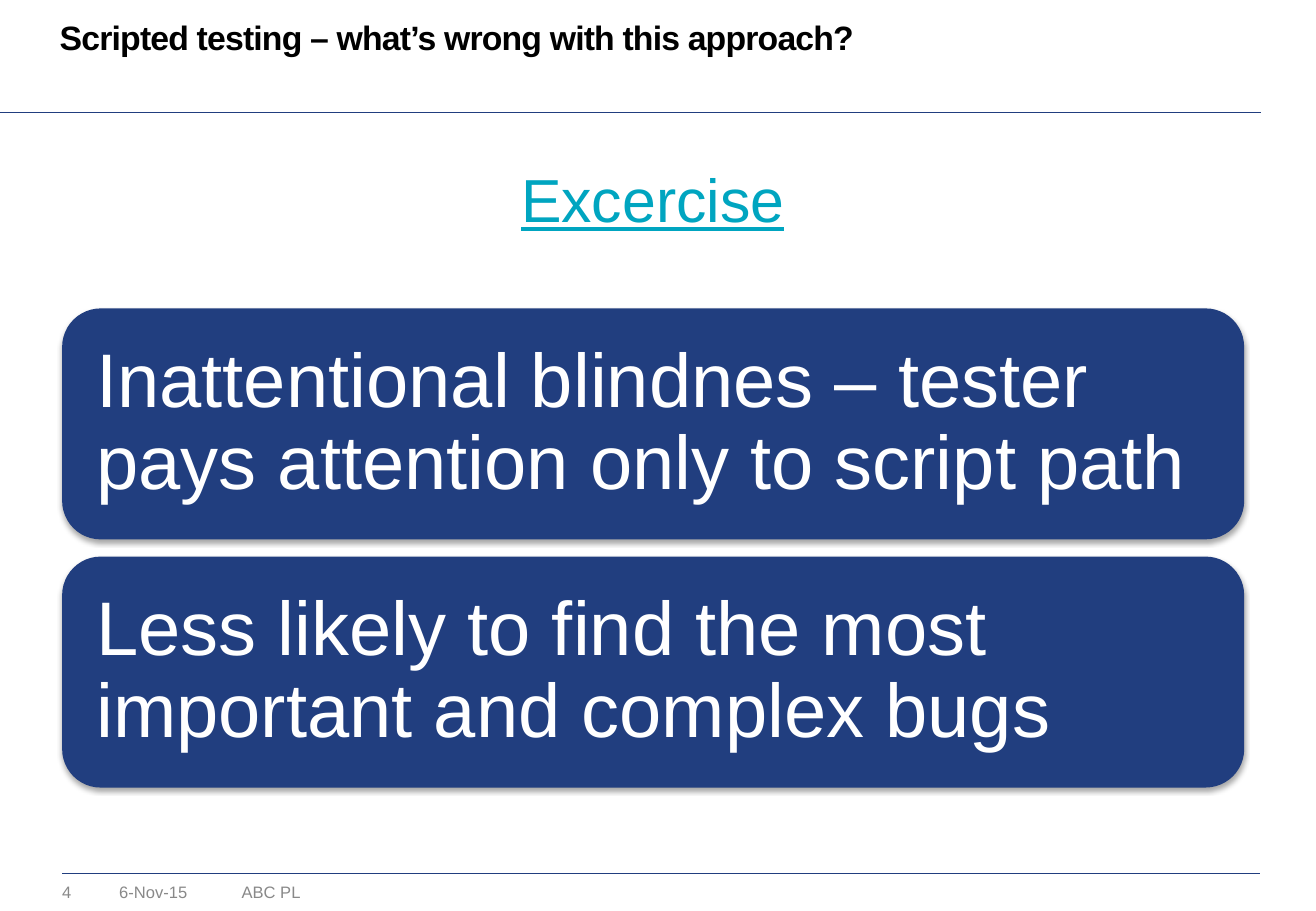
from dataclasses import dataclass

from lxml.etree import SubElement
from pptx import Presentation
from pptx.dml.color import RGBColor
from pptx.enum.shapes import MSO_CONNECTOR, MSO_SHAPE
from pptx.enum.text import MSO_ANCHOR, PP_ALIGN
from pptx.oxml import parse_xml
from pptx.oxml.ns import nsdecls, qn
from pptx.util import Cm, Pt


@dataclass(frozen=True)
class Theme:
    font: str = "Arial"
    navy: str = "213E7F"
    teal: str = "00A5C0"
    grey: str = "898989"
    black: str = "000000"
    white: str = "FFFFFF"
    title_size: float = 20
    heading_size: float = 36
    card_size: float = 45
    footer_size: float = 9.8
    rule_width: float = 0.25


SOFT_SHADOW = (
    f'<a:effectLst {nsdecls("a")}>'
    '<a:outerShdw blurRad="39370" dist="22860" dir="5400000" rotWithShape="0">'
    '<a:srgbClr val="000000"><a:alpha val="35000"/></a:srgbClr>'
    "</a:outerShdw></a:effectLst>"
)


class SlideBuilder:
    def __init__(self, slide, theme):
        self.s = slide
        self.theme = theme

    def rule(self, x1, x2, y):
        line = self.s.shapes.add_connector(
            MSO_CONNECTOR.STRAIGHT, Cm(x1), Cm(y), Cm(x2), Cm(y))
        line.line.color.rgb = RGBColor.from_string(self.theme.navy)
        line.line.width = Pt(self.theme.rule_width)
        SubElement(line._element.spPr, qn("a:effectLst"))

    def fill_text(self, sp, text, size, color, inset=0.0):
        tf = sp.text_frame
        tf.word_wrap = True
        tf.margin_left = tf.margin_right = Cm(inset)
        tf.margin_top = tf.margin_bottom = Cm(inset)
        p = tf.paragraphs[0]
        p.alignment = PP_ALIGN.LEFT
        r = p.add_run()
        r.text = text
        r.font.name = self.theme.font
        r.font.size = Pt(size)
        r.font.color.rgb = RGBColor.from_string(color)
        return p, r

    def text(self, x, y, w, h, text, size, color, inset=0.0):
        sp = self.s.shapes.add_textbox(Cm(x), Cm(y), Cm(w), Cm(h))
        return self.fill_text(sp, text, size, color, inset)

    def title(self, text):
        p, r = self.text(1.25, 0.43, 25.22, 0.79, text,
                         self.theme.title_size, self.theme.black)
        p.line_spacing = Pt(21.7)
        r.font.bold = True
        r._r.get_or_add_rPr().set("spc", "-50")

    def heading(self, text):
        p, r = self.text(10.57, 3.25, 6.15, 1.8, text,
                         self.theme.heading_size, self.theme.teal, 0.13)
        p.alignment = PP_ALIGN.CENTER
        r.font.underline = True

    def card(self, x, y, w, h, text):
        sp = self.s.shapes.add_shape(
            MSO_SHAPE.ROUNDED_RECTANGLE, Cm(x), Cm(y), Cm(w), Cm(h))
        sp.fill.solid()
        sp.fill.fore_color.rgb = RGBColor.from_string(self.theme.navy)
        sp.line.fill.background()
        sp._element.spPr.append(parse_xml(SOFT_SHADOW))
        p, _ = self.fill_text(sp, text, self.theme.card_size,
                              self.theme.white, 0.48)
        p.line_spacing = 0.9
        sp.text_frame.vertical_anchor = MSO_ANCHOR.MIDDLE

    def footer(self, x, w, text):
        self.text(x, 18.44, w, 0.42, text,
                  self.theme.footer_size, self.theme.grey)


def main():
    prs = Presentation()
    prs.slide_width, prs.slide_height = Cm(27.51), Cm(19.05)
    slide = SlideBuilder(prs.slides.add_slide(prs.slide_layouts[6]), Theme())

    # Header and footer rules
    slide.rule(0, 26.37, 2.34)
    slide.rule(1.3, 26.34, 18.26)

    # Footer
    for x, w, text in ((1.3, 0.99, "4"), (2.49, 2.26, "6-Nov-15"),
                       (5.05, 3.58, "ABC PL")):
        slide.footer(x, w, text)

    # Title and heading
    slide.title("Scripted testing – what’s wrong with this approach?")
    slide.heading("Excercise")

    # Cards, stacked with an equal gap
    card_height, gap = 4.83, 0.36
    cards = (
        "Inattentional blindnes – tester pays attention only to script path",
        "Less likely to find the most important and complex bugs",
    )
    for i, text in enumerate(cards):
        slide.card(1.3, 6.45 + i * (card_height + gap), 24.71, card_height, text)

    prs.save("out.pptx")


if __name__ == "__main__":
    main()
